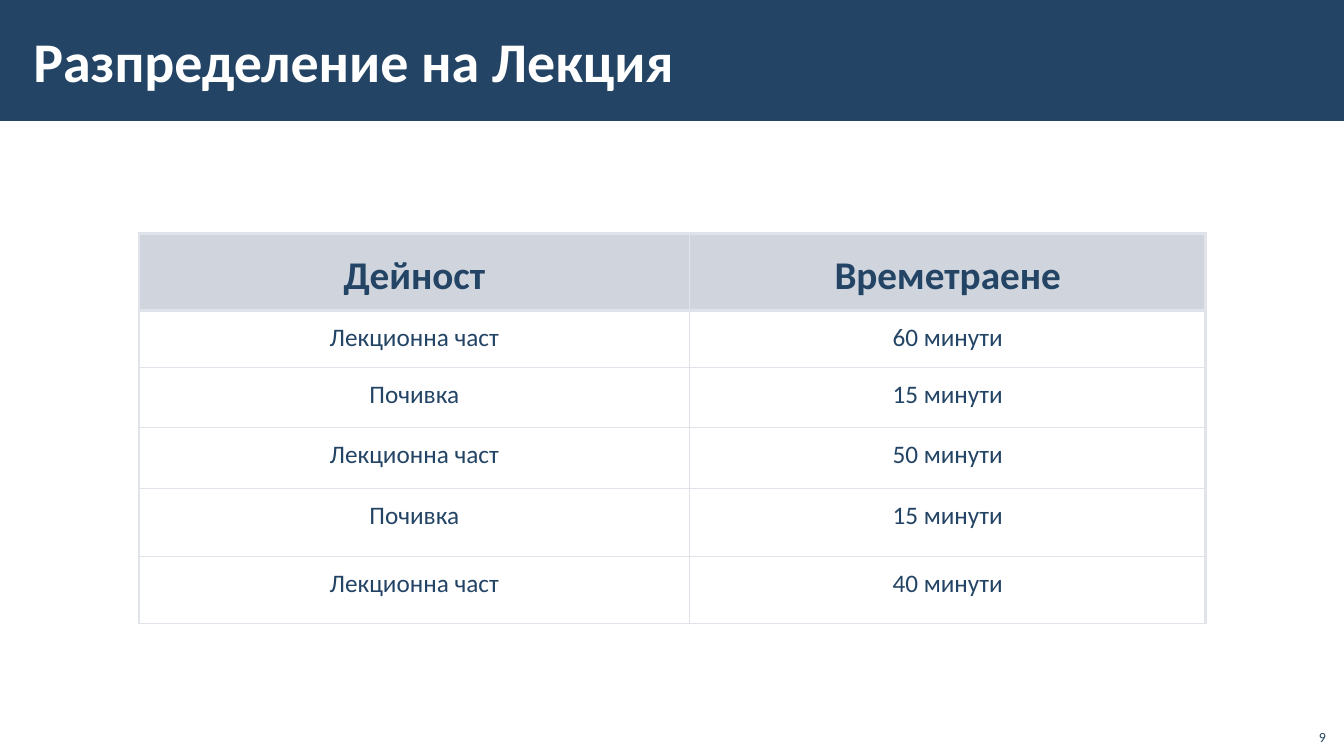
"""Builds a lecture schedule slide with a title bar and a timetable."""
from lxml import etree
from pptx import Presentation
from pptx.dml.color import RGBColor
from pptx.enum.shapes import MSO_SHAPE
from pptx.enum.text import MSO_ANCHOR, PP_ALIGN
from pptx.oxml.ns import qn
from pptx.util import Inches, Pt

RECTANGLE = MSO_SHAPE.RECTANGLE
TOP, MIDDLE, BOTTOM = MSO_ANCHOR.TOP, MSO_ANCHOR.MIDDLE, MSO_ANCHOR.BOTTOM
LEFT, CENTER, RIGHT = PP_ALIGN.LEFT, PP_ALIGN.CENTER, PP_ALIGN.RIGHT

COLORS = {"navy": "234465", "white": "FFFFFF", "header": "A3ABBC", "rule": "E0E3E9"}
FORMATS = {
    "title": {"size": Pt(40), "bold": True},
    "header": {"size": Pt(28), "bold": True},
    "body": {"size": Pt(18), "bold": False},
    "number": {"size": Pt(10), "bold": False},
}
MARGINS = ("margin_left", "margin_top", "margin_right", "margin_bottom")
THICK, THIN = Pt(2.25), Pt(1)

SCHEDULE = [
    ("Дейност", "Времетраене"),
    ("Лекционна част", "60 минути"),
    ("Почивка", "15 минути"),
    ("Лекционна част", "50 минути"),
    ("Почивка", "15 минути"),
    ("Лекционна част", "40 минути"),
]
COLUMN_SHARES = (40.96, 38.41)
ROW_SHARES = (10.13, 7.6, 7.87, 8.13, 8.93, 8.93)


class LectureSlide:
    """Holds the style and slide; lengths are percentages of the slide size."""

    def __init__(self, deck, font="Calibri"):
        self.width, self.height = deck.slide_width, deck.slide_height
        self.slide = deck.slides.add_slide(deck.slide_layouts[6])
        self.font = font

    def across(self, share):
        return round(self.width * share / 100)

    def down(self, share):
        return round(self.height * share / 100)

    def place(self, left, top, width, height):
        return self.across(left), self.down(top), self.across(width), self.down(height)

    def fill_text(self, frame, text, style, color, align):
        paragraph = frame.paragraphs[0]
        paragraph.text = text
        paragraph.alignment = align
        font = paragraph.runs[0].font
        for name, value in {"name": self.font, **FORMATS[style]}.items():
            setattr(font, name, value)
        font.color.rgb = RGBColor.from_string(COLORS[color])
        return paragraph

    def inset(self, holder, insets):
        for name, value in zip(MARGINS, insets):
            setattr(holder, name, Inches(value))

    def bar(self, area, color):
        band = self.slide.shapes.add_shape(RECTANGLE, *self.place(*area))
        band.shadow.inherit = False
        band.fill.solid()
        band.fill.fore_color.rgb = RGBColor.from_string(COLORS[color])
        band.line.fill.background()

    def label(self, area, text, style, color, align, anchor, insets):
        frame = self.slide.shapes.add_textbox(*self.place(*area)).text_frame
        frame.word_wrap = True
        frame.vertical_anchor = anchor
        self.inset(frame, insets)
        self.fill_text(frame, text, style, color, align)

    def borders(self, cell, widths):
        properties = cell._tc.get_or_add_tcPr()
        for position, (side, width) in enumerate(widths.items()):
            edge = etree.Element(qn(f"a:ln{side}"), w=str(width))
            fill = etree.SubElement(edge, qn("a:solidFill"))
            etree.SubElement(fill, qn("a:srgbClr"), val=COLORS["rule"])
            properties.insert(position, edge)

    def shade(self, cell, is_header):
        if not is_header:
            cell.fill.background()
            return
        cell.fill.solid()
        cell.fill.fore_color.rgb = RGBColor.from_string(COLORS["header"])
        tint = next(cell._tc.tcPr.iter(qn("a:srgbClr")))
        etree.SubElement(tint, qn("a:alpha"), val="50000")

    def timetable(self, left, top, rows, column_shares, row_shares):
        area = self.place(left, top, sum(column_shares), sum(row_shares))
        last = len(column_shares) - 1
        table = self.slide.shapes.add_table(len(rows), last + 1, *area).table
        table.first_row = table.horz_banding = False
        for column, share in zip(table.columns, column_shares):
            column.width = self.across(share)
        for row, share in zip(table.rows, row_shares):
            row.height = self.down(share)
        for r, entries in enumerate(rows):
            is_header = r == 0
            side = 0.16 if is_header else 0.1
            for c, text in enumerate(entries):
                cell = table.cell(r, c)
                cell.vertical_anchor = MIDDLE if is_header else TOP
                self.inset(cell, (side, 0.12, side, 0.05))
                style = "header" if is_header else "body"
                paragraph = self.fill_text(cell.text_frame, text, style, "navy", CENTER)
                if is_header:
                    paragraph.line_spacing = 0.95
                self.shade(cell, is_header)
                self.borders(cell, {
                    "L": THICK if c == 0 else THIN,
                    "R": THICK if c == last else THIN,
                    "T": THICK if r <= 1 else THIN,
                    "B": THICK if is_header else THIN,
                })


def main():
    deck = Presentation()
    deck.slide_width, deck.slide_height = Inches(13.33), Inches(7.5)
    lecture = LectureSlide(deck)
    lecture.bar((0, 0, 100, 16), "navy")
    lecture.label((1.58, 1.47, 79.74, 12.93), "Разпределение на Лекция",
                  "title", "white", LEFT, MIDDLE, (0.12, 0.04, 0.12, 0.04))
    lecture.timetable(10.35, 30.93, SCHEDULE, COLUMN_SHARES, ROW_SHARES)
    lecture.label((96.4, 94.93, 3, 4.27), "9",
                  "number", "navy", RIGHT, BOTTOM, (0.1, 0.05, 0.1, 0.05))
    deck.save("out.pptx")


if __name__ == "__main__":
    main()
